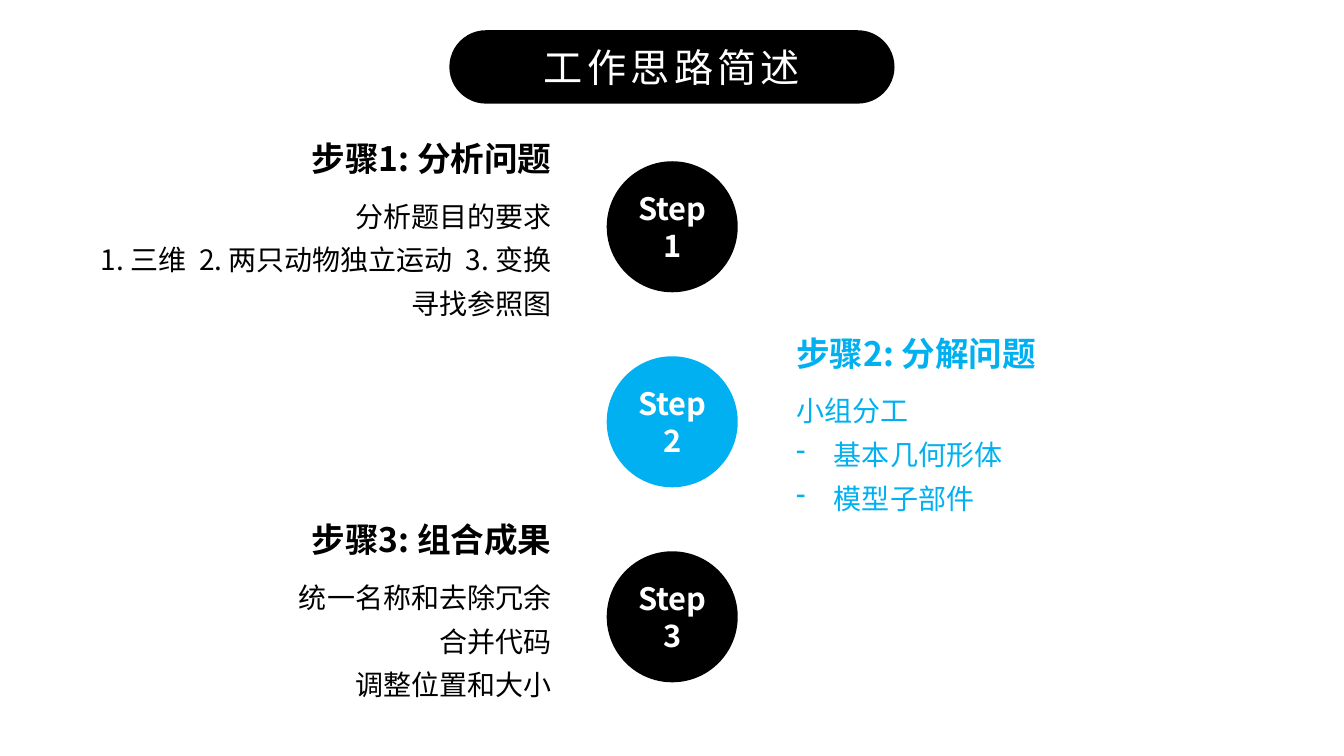
from lxml.etree import SubElement
from pptx import Presentation
from pptx.dml.color import RGBColor
from pptx.enum.shapes import MSO_SHAPE
from pptx.enum.text import MSO_ANCHOR, MSO_AUTO_SIZE, PP_ALIGN
from pptx.oxml.ns import qn
from pptx.util import Pt

FONT = "Noto Sans CJK SC"
BLACK, BLUE, WHITE = "000000", "00B0F0", "FFFFFF"
CIRCLE_LEFT, CIRCLE_TOP, CIRCLE_SIZE, CIRCLE_PITCH = 433.4, 115.2, 93.6, 139.3
TEXT_RIGHT, TEXT_LEFT = 401, 561.6
BODY_OFFSET, HEADING_HEIGHT, BODY_HEIGHT = 36.5, 36, 101.5
GAP = " "

STEPS = [
    {"color": BLACK, "top": 95, "align": PP_ALIGN.RIGHT, "widths": (301, 369.4),
     "heading": "步骤1: 分析问题",
     "lines": [["分析题目的要求"],
               ["1. 三维", GAP, "2. 两只动物独立运动", GAP, "3. 变换"],
               ["寻找参照图"]],
     "bullets": False},
    {"color": BLUE, "top": 234, "align": PP_ALIGN.LEFT, "widths": (369.4, 392.4),
     "heading": "步骤2: 分解问题",
     "lines": [["小组分工"], ["基本几何形体"], ["模型子部件"]],
     "bullets": True},
    {"color": BLACK, "top": 367.4, "align": PP_ALIGN.RIGHT, "widths": (301, 369.4),
     "heading": "步骤3: 组合成果",
     "lines": [["统一名称和去除冗余"], ["合并代码"], ["调整位置和大小"]],
     "bullets": False},
]


def rgb(color):
    """Turn a hex string into a colour."""
    return RGBColor.from_string(color)


def add_run(paragraph, text, size, color, bold=False, spacing=0):
    """Add one formatted run, with letter spacing in points."""
    run = paragraph.add_run()
    run.text = text
    run.font.size = Pt(size)
    run.font.bold = bold
    run.font.color.rgb = rgb(color)
    run.font.name = FONT
    properties = run.font._element
    SubElement(properties, qn("a:ea")).set("typeface", FONT)
    if spacing:
        properties.set("spc", str(round(spacing * 100)))


def add_dash(paragraph):
    """Give a paragraph a hanging dash bullet."""
    properties = paragraph._p.get_or_add_pPr()
    properties.set("marL", str(Pt(27)))
    properties.set("indent", str(-Pt(27)))
    SubElement(properties, qn("a:buFontTx"))
    SubElement(properties, qn("a:buChar")).set("char", "-")


def add_label(slide, preset, box, fill, text, size, bold=False, spacing=0):
    """Add a filled shape with centred white text."""
    shape = slide.shapes.add_shape(preset, *map(Pt, box))
    shape.shadow.inherit = False
    shape.fill.solid()
    shape.fill.fore_color.rgb = rgb(fill)
    shape.line.fill.background()
    frame = shape.text_frame
    frame.word_wrap = True
    frame.vertical_anchor = MSO_ANCHOR.MIDDLE
    paragraph = frame.paragraphs[0]
    paragraph.alignment = PP_ALIGN.CENTER
    add_run(paragraph, text, size, WHITE, bold, spacing)
    return shape


def add_text(slide, box, lines, size, color, align, bold=False, line_spacing=1.0, bullets=False):
    """Add a text box with one paragraph per line, dashes after the first."""
    frame = slide.shapes.add_textbox(*map(Pt, box)).text_frame
    frame.word_wrap = True
    frame.auto_size = MSO_AUTO_SIZE.SHAPE_TO_FIT_TEXT
    for index, pieces in enumerate(lines):
        paragraph = frame.add_paragraph() if index else frame.paragraphs[0]
        paragraph.alignment = align
        paragraph.line_spacing = line_spacing
        if bullets and index:
            add_dash(paragraph)
        for piece in pieces:
            add_run(paragraph, piece, size, color, bold, 4.5 if piece == GAP else 0)


def add_step(slide, index, step):
    """Add the circle, heading and body of one step."""
    circle = (CIRCLE_LEFT, CIRCLE_TOP + index * CIRCLE_PITCH, CIRCLE_SIZE, CIRCLE_SIZE)
    add_label(slide, MSO_SHAPE.OVAL, circle, step["color"], f"Step {index + 1}", 22, bold=True)
    color, align, top = step["color"], step["align"], step["top"]
    heading_left, body_left = (
        TEXT_RIGHT - width if align == PP_ALIGN.RIGHT else TEXT_LEFT for width in step["widths"])
    heading_width, body_width = step["widths"]
    add_text(slide, (heading_left, top, heading_width, HEADING_HEIGHT),
             [[step["heading"]]], 24, color, align, bold=True)
    add_text(slide, (body_left, top + BODY_OFFSET, body_width, BODY_HEIGHT),
             step["lines"], 20, color, align, line_spacing=1.3, bullets=step["bullets"])


def main():
    """Build the slide and save it."""
    presentation = Presentation()
    presentation.slide_width, presentation.slide_height = Pt(960), Pt(540)
    slide = presentation.slides.add_slide(presentation.slide_layouts[6])
    title = add_label(slide, MSO_SHAPE.ROUNDED_RECTANGLE, (321, 21.6, 318, 52.4),
                      BLACK, "工作思路简述", 28, spacing=3)
    title.adjustments[0] = 0.5
    for index, step in enumerate(STEPS):
        add_step(slide, index, step)
    presentation.save("out.pptx")


if __name__ == "__main__":
    main()
